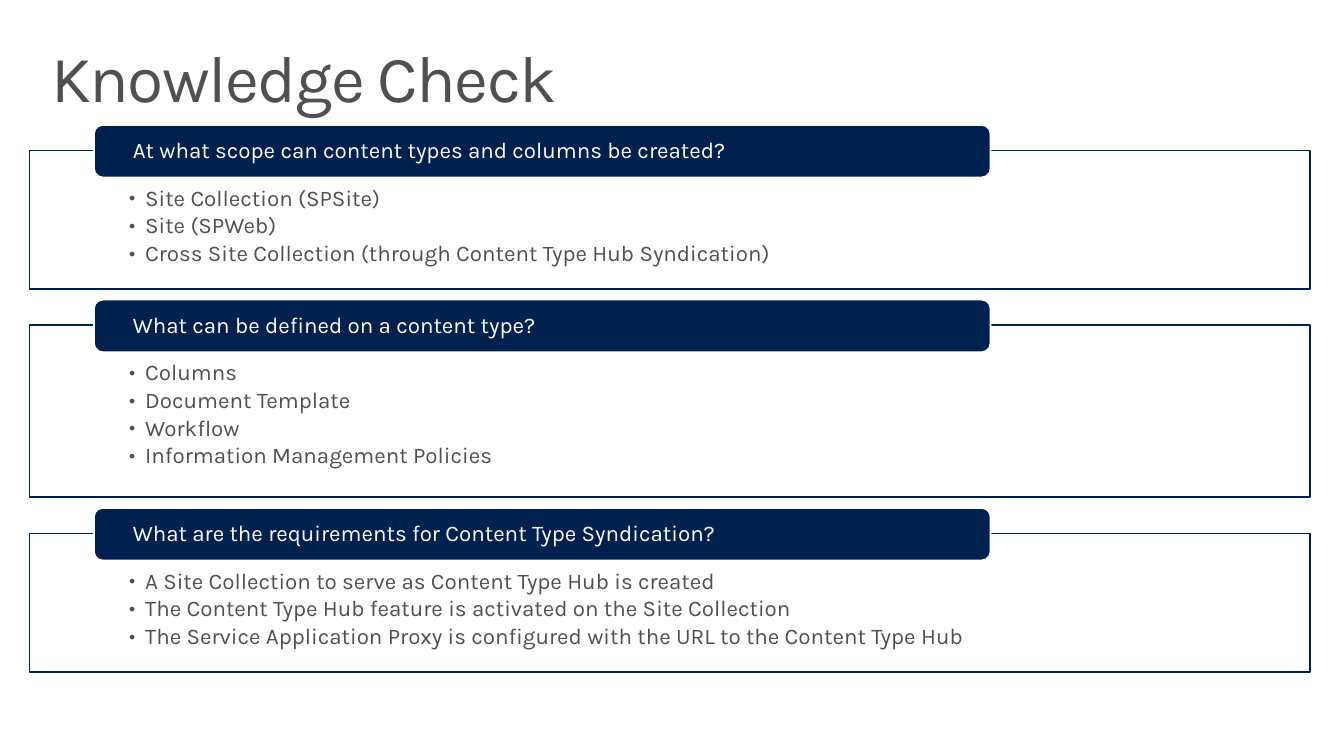
from lxml import etree
from pptx import Presentation
from pptx.dml.color import RGBColor
from pptx.enum import shapes, text
from pptx.oxml import ns
from pptx.util import Inches, Pt

COLORS = {"navy": "002050", "gray": "505050", "white": "FFFFFF"}
FONT = "Karla"
QUESTIONS = [
    ("At what scope can content types and columns be created?",
     ["Site Collection (SPSite)",
      "Site (SPWeb)",
      "Cross Site Collection (through Content Type Hub Syndication)"]),
    ("What can be defined on a content type?",
     ["Columns",
      "Document Template",
      "Workflow",
      "Information Management Policies"]),
    ("What are the requirements for Content Type Syndication?",
     ["A Site Collection to serve as Content Type Hub is created",
      "The Content Type Hub feature is activated on the Site Collection",
      "The Service Application Proxy is configured with the URL to the Content Type Hub"]),
]


def add_box(kind, box, fill, line, insets, anchor):
    shape = slide.shapes.add_shape(kind, *[Inches(value) for value in box])
    shape.shadow.inherit = False
    shape.fill.solid()
    shape.fill.fore_color.rgb = RGBColor.from_string(COLORS[fill])
    shape.line.color.rgb = RGBColor.from_string(COLORS[line])
    shape.line.width = Pt(0.85)
    frame = shape.text_frame
    frame.word_wrap = True
    frame.vertical_anchor = anchor
    frame.margin_left, frame.margin_top, frame.margin_right, frame.margin_bottom = [
        Inches(value) for value in insets]
    return shape


def add_text(paragraph, wording, size, color):
    paragraph.alignment = text.PP_ALIGN.LEFT
    paragraph.line_spacing = 0.9
    run = paragraph.add_run()
    run.text = wording
    run.font.name = FONT
    run.font.size = Pt(size)
    run.font.color.rgb = RGBColor.from_string(COLORS[color])
    return run


presentation = Presentation()
presentation.slide_width = Inches(10)
presentation.slide_height = Inches(10 * 9 / 16)
slide = presentation.slides.add_slide(presentation.slide_layouts[5])

title = slide.shapes.title
title.left, title.top, title.width, title.height = [
    Inches(value) for value in (0.22, 0.24, 9.56, 0.74)]
frame = title.text_frame
frame.vertical_anchor = text.MSO_ANCHOR.TOP
frame.auto_size = text.MSO_AUTO_SIZE.NONE
frame.margin_left = frame.margin_right = Inches(0.16)
frame.margin_top = frame.margin_bottom = Inches(0.1)
title_run = add_text(frame.paragraphs[0], "Knowledge Check", 35.3, "gray")
title_run.font._element.set("spc", "-80")

panel_top = 1.12
for question, answers in QUESTIONS:
    # Each answer beyond the third makes the panel one line taller
    panel_height = 1.03 + 0.25 * (len(answers) - 3)
    panel = add_box(shapes.MSO_SHAPE.RECTANGLE, (0.22, panel_top, 9.53, panel_height),
                    "white", "navy", (0.74, 0.27, 0.74, 0.09), text.MSO_ANCHOR.TOP)
    fill_color = panel._element.spPr.find(ns.qn("a:solidFill"))[0]
    etree.SubElement(fill_color, ns.qn("a:alpha"), val="90000")

    for index, answer in enumerate(answers):
        frame = panel.text_frame
        paragraph = frame.add_paragraph() if index else frame.paragraphs[0]
        add_text(paragraph, answer, 12, "gray")
        paragraph.space_after = Pt(1.8)
        properties = paragraph._p.get_or_add_pPr()
        properties.set("marL", str(Inches(0.12)))
        properties.set("indent", str(-Inches(0.12)))
        etree.SubElement(properties, ns.qn("a:buFont"), typeface=FONT)
        etree.SubElement(properties, ns.qn("a:buChar"), char="•")

    header = add_box(shapes.MSO_SHAPE.ROUNDED_RECTANGLE, (0.7, panel_top - 0.19, 6.67, 0.39),
                     "navy", "white", (0.27, 0, 0.27, 0), text.MSO_ANCHOR.MIDDLE)
    add_text(header.text_frame.paragraphs[0], question, 12, "white")

    panel_top += panel_height + 0.27

presentation.save("out.pptx")
